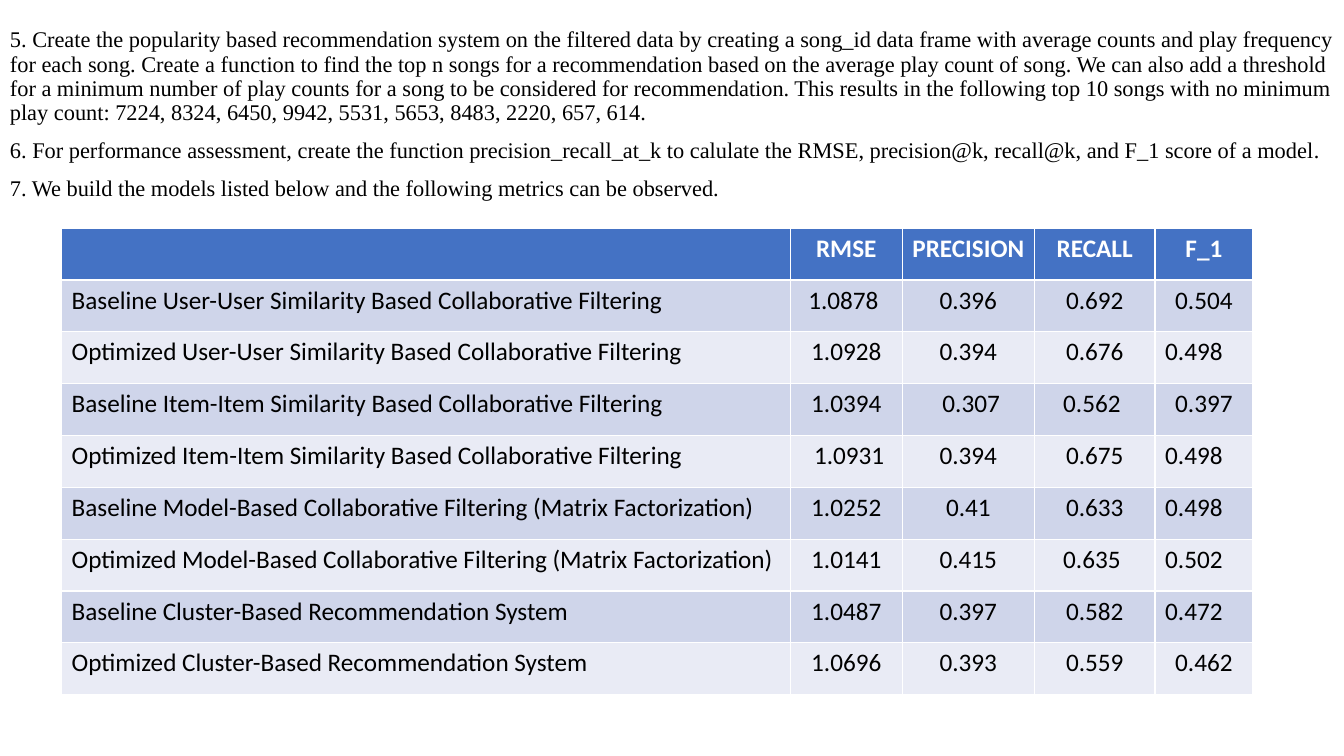
"""Build the slide of recommendation steps and model metrics."""
from dataclasses import dataclass

from pptx import Presentation
from pptx.dml.color import RGBColor
from pptx.enum.text import PP_ALIGN
from pptx.util import Pt

LEFT, MID = PP_ALIGN.LEFT, PP_ALIGN.CENTER


@dataclass(frozen=True)
class Theme:
    black: str = "000000"
    white: str = "FFFFFF"
    head: str = "4472C4"
    bands: tuple = ("CFD5EA", "E9EBF5")
    serif: str = "Times New Roman"
    sans: str = "Calibri"
    body: int = 16
    cell: int = 18


theme = Theme()


def style(run, color, **form):
    for key, value in form.items():
        setattr(run.font, key, value)
    run.font.color.rgb = RGBColor.from_string(color)


deck = Presentation()
deck.slide_width, deck.slide_height = Pt(960), Pt(540)
slide = deck.slides.add_slide(deck.slide_layouts[6])

steps = [
    ["5. Create the popularity based recommendation system on the filtered data "
     "by creating a song_id data frame with average counts and play frequency "
     "for each song. Create a function to find the top n songs for a "
     "recommendation based on the average play count of song. We can also add a "
     "threshold for a minimum number of play counts for a song to be considered "
     "for recommendation. This results in the following top 10 songs with no "
     "minimum play count: 7224, 8324, 6450, 9942, 5531, 5653, 8483, 2220, 657, 614."],
    ["6. For performance assessment, create the function precision_recall_at_k "
     "to calulate the RMSE, precision@k, recall@k, and F_1 score of a model", "."],
    ["7. We build the models listed below and the following metrics can be observed."],
]
frame = slide.shapes.add_textbox(0, 0, Pt(960), Pt(540)).text_frame
frame.word_wrap = True
frame.margin_top = Pt(20.5)
for i, parts in enumerate(steps):
    para = frame.paragraphs[0] if i == 0 else frame.add_paragraph()
    para.line_spacing = 0.9
    para.space_before = Pt(10 if i else 0)
    for j, words in enumerate(parts):
        run = para.add_run()
        run.text = words
        style(run, theme.black, name=theme.serif, size=Pt(theme.body), italic=j > 0)

user = "User-User Similarity Based Collaborative Filtering"
item = "Item-Item Similarity Based Collaborative Filtering"
model = "Model-Based Collaborative Filtering (Matrix Factorization)"
group = "Cluster-Based Recommendation System"
rows = [
    ("", "RMSE", "PRECISION", "RECALL", "F_1"),
    (f"Baseline {user}", "1.0878 ", "0.396", "0.692", "0.504"),
    (f"Optimized {user}", "1.0928", "0.394", "0.676", "0.498"),
    (f"Baseline {item}", "1.0394", " 0.307", "0.562 ", "0.397"),
    (f"Optimized {item}", " 1.0931", "0.394", "0.675", "0.498"),
    (f"Baseline {model}", "1.0252", "0.41", "0.633", "0.498"),
    (f"Optimized {model}", "1.0141", "0.415", "0.635 ", "0.502"),
    (f"Baseline {group}", "1.0487", "0.397", "0.582", "0.472"),
    (f"Optimized {group}", "1.0696", "0.393", "0.559", "0.462"),
]
widths = [520.5, 80, 94.4, 86.2, 69.8]
left_f1 = {2, 4, 5, 6, 7}
high = 37.04
table = slide.shapes.add_table(
    len(rows), len(widths), Pt(44), Pt(163), Pt(sum(widths)), Pt(high * len(rows))).table
for col, width in zip(table.columns, widths):
    col.width = Pt(width)
for r, row in enumerate(rows):
    table.rows[r].height = Pt(high)
    fill = theme.bands[(r - 1) % 2] if r else theme.head
    color = theme.black if r else theme.white
    for c, words in enumerate(row):
        cell = table.cell(r, c)
        cell.fill.solid()
        cell.fill.fore_color.rgb = RGBColor.from_string(fill)
        para = cell.text_frame.paragraphs[0]
        para.alignment = LEFT if c == 0 or (c == 4 and r in left_f1) else MID
        if words:
            run = para.add_run()
            run.text = words
            style(run, color, name=theme.sans, size=Pt(theme.cell), bold=r == 0)

deck.save("out.pptx")
